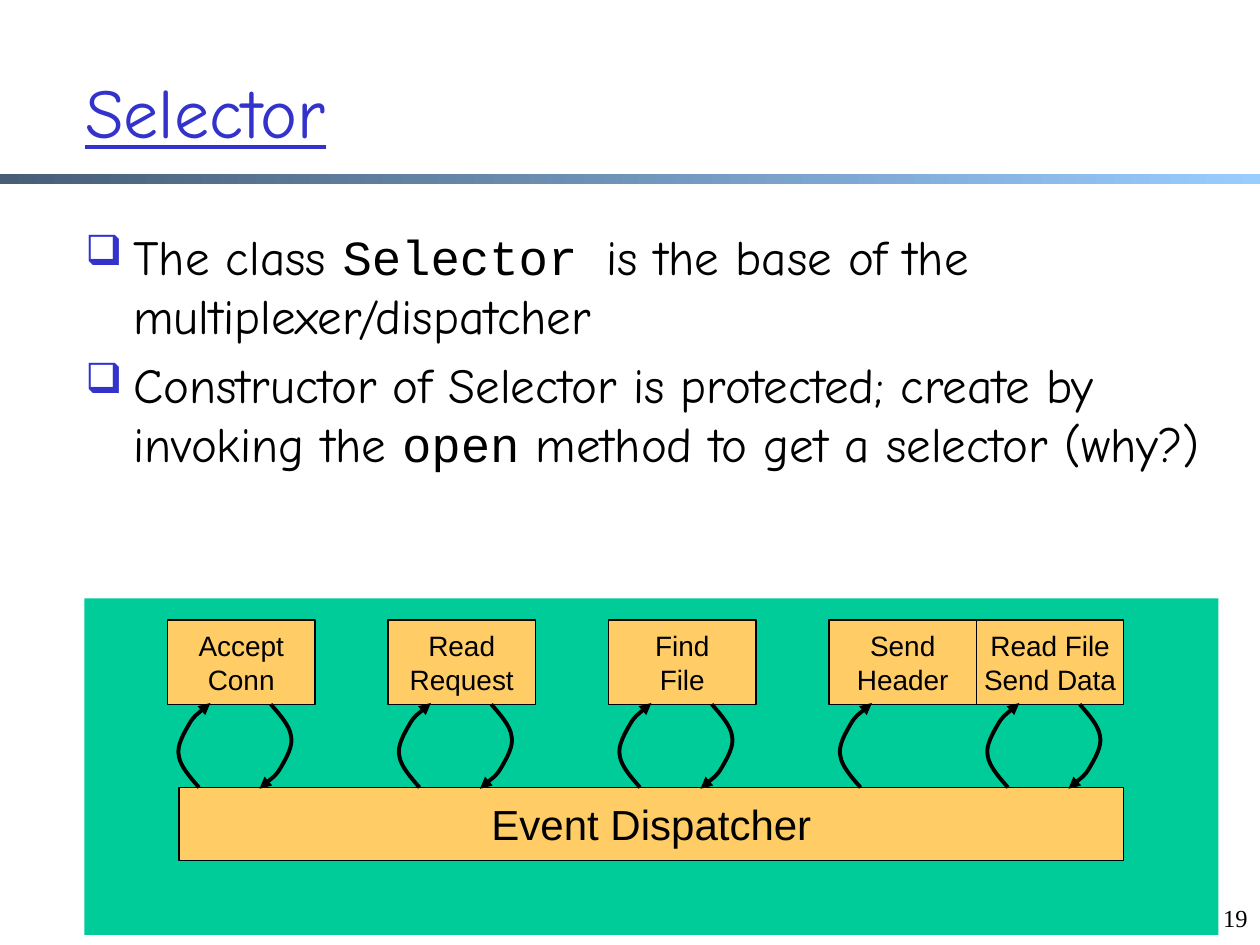
from pptx import Presentation
from pptx.dml.color import RGBColor
from pptx.enum.shapes import MSO_SHAPE
from pptx.enum.text import MSO_ANCHOR, PP_ALIGN
from pptx.oxml.ns import qn
from pptx.util import Inches, Pt
from lxml.etree import SubElement

INK, BLUE, GREEN, ORANGE = "000000", "3333CC", "00CC99", "FFCC66"
BODY_FONT, CODE_FONT, LABEL_FONT = "Comic Neue", "Courier New", "Arial"
UP_CURVE = [(0, 0), (-0.07, -0.08), (-0.15, -0.17), (-0.16, -0.25),
            (-0.18, -0.33), (-0.12, -0.43), (-0.08, -0.5),
            (-0.04, -0.57), (0.06, -0.64), (0.09, -0.67)]


def rgb(value):
    return RGBColor.from_string(value)


def add_run(p, text, font=BODY_FONT, size=28, color=INK, underline=None):
    r = p.add_run()
    r.text = text
    r.font.name = font
    r.font.size = Pt(size)
    r.font.color.rgb = rgb(color)
    r.font.underline = underline
    return r


def add_box(s, x, y, w, h):
    tb = s.shapes.add_textbox(Inches(x), Inches(y), Inches(w), Inches(h))
    tb.text_frame.word_wrap = True
    return tb.text_frame


def add_rect(s, x, y, w, h, fill=None, line=None):
    sp = s.shapes.add_shape(MSO_SHAPE.RECTANGLE, Inches(x), Inches(y), Inches(w), Inches(h))
    sp.shadow.inherit = False
    if fill:
        sp.fill.solid()
        sp.fill.fore_color.rgb = rgb(fill)
    if line:
        sp.line.color.rgb = rgb(line)
        sp.line.width = Pt(0.75)
    else:
        sp.line.fill.background()
    return sp


def add_label(s, x, y, w, h, lines, size):
    tf = add_rect(s, x, y, w, h, ORANGE, INK).text_frame
    tf.word_wrap = False
    tf.vertical_anchor = MSO_ANCHOR.MIDDLE
    for i, text in enumerate(lines):
        p = tf.add_paragraph() if i else tf.paragraphs[0]
        p.alignment = PP_ALIGN.CENTER
        add_run(p, text, LABEL_FONT, size)


def add_curve(s, x, y, sign):
    points = [(Inches(x + sign * dx), Inches(y + sign * dy)) for dx, dy in UP_CURVE]
    fb = s.shapes.build_freeform(*points[0])
    fb.add_line_segments(points[1:], close=False)
    sp = fb.convert_to_shape()
    sp.shadow.inherit = False
    sp.fill.background()
    sp.line.color.rgb = rgb(INK)
    sp.line.width = Pt(2.25)
    segments = list(sp._element.iter(qn("a:lnTo")))
    outline = segments[0].getparent()
    for i in range(0, len(segments), 3):
        bezier = SubElement(outline, qn("a:cubicBezTo"))
        for segment in segments[i:i + 3]:
            bezier.append(segment[0])
            outline.remove(segment)
    SubElement(sp.line._get_or_add_ln(), qn("a:tailEnd"), type="triangle")


def add_title(s, x, y, w, h, text):
    tf = add_box(s, x, y, w, h)
    tf.vertical_anchor = MSO_ANCHOR.MIDDLE
    add_run(tf.paragraphs[0], text, size=40, color=BLUE, underline=True)


def add_divider(s, x, y, w, h):
    fill = add_rect(s, x, y, w, h).fill
    fill.gradient()
    fill.gradient_angle = 0
    for stop, color in zip(fill.gradient_stops, ("475E76", "99CCFF")):
        stop.color.rgb = rgb(color)


def add_bullets(s, x, y, w, h, items):
    tf = add_box(s, x, y, w, h)
    for i, runs in enumerate(items):
        p = tf.add_paragraph() if i else tf.paragraphs[0]
        if i:
            p.space_before = Pt(5.6)
        pPr = p._p.get_or_add_pPr()
        pPr.set("marL", str(Inches(0.38)))
        pPr.set("indent", str(-Inches(0.38)))
        SubElement(SubElement(pPr, qn("a:buClr")), qn("a:srgbClr"), val=BLUE)
        SubElement(pPr, qn("a:buSzPct"), val="85000")
        SubElement(pPr, qn("a:buChar"), char="❑")
        for text, font in runs:
            add_run(p, text, font)


def add_dispatcher(s, x, y, w, h):
    add_rect(s, x, y, w, h, GREEN)
    box_w, box_h, step = 1.17, 0.67, 1.75
    box_y, bar_y = y + 0.17, y + 1.5
    first = x + 0.66
    handlers = [("Accept", "Conn"), ("Read", "Request"), ("Find", "File"),
                ("Send", "Header"), ("Read File", "Send Data")]
    lefts = [first + i * step for i in range(4)]
    lefts.append(lefts[-1] + box_w)
    for left, lines in zip(lefts, handlers):
        add_label(s, left, box_y, box_w, box_h, lines, 16)
    add_label(s, x + 0.75, bar_y, 7.5, 0.58, ["Event Dispatcher"], 24)
    for left, lines in zip(lefts, handlers):
        add_curve(s, left + 0.25, bar_y, 1)
        if lines != ("Send", "Header"):
            add_curve(s, left + 0.82, box_y + box_h, -1)


def add_page_number(s, x, y, w, h, text):
    p = add_box(s, x, y, w, h).paragraphs[0]
    p.alignment = PP_ALIGN.RIGHT
    add_run(p, text, "Times New Roman", 14)


def main():
    prs = Presentation()
    prs.slide_width, prs.slide_height = Inches(10), Inches(7.5)
    s = prs.slides.add_slide(prs.slide_layouts[6])
    add_divider(s, 0, 1.38, 10, 0.08)
    add_title(s, 0.58, 0.25, 8.5, 1.25, "Selector")
    add_bullets(s, 0.58, 1.75, 9.08, 5.08, [
        [("The class ", BODY_FONT), ("Selector ", CODE_FONT),
         ("is the base of the multiplexer/dispatcher", BODY_FONT)],
        [("Constructor of Selector is protected; create by invoking the ", BODY_FONT),
         ("open", CODE_FONT), (" method to get a selector (why?)", BODY_FONT)],
    ])
    add_dispatcher(s, 0.67, 4.75, 9, 2.67)
    add_page_number(s, 9.5, 7.12, 0.5, 0.5, "19")
    prs.save("out.pptx")


if __name__ == "__main__":
    main()
